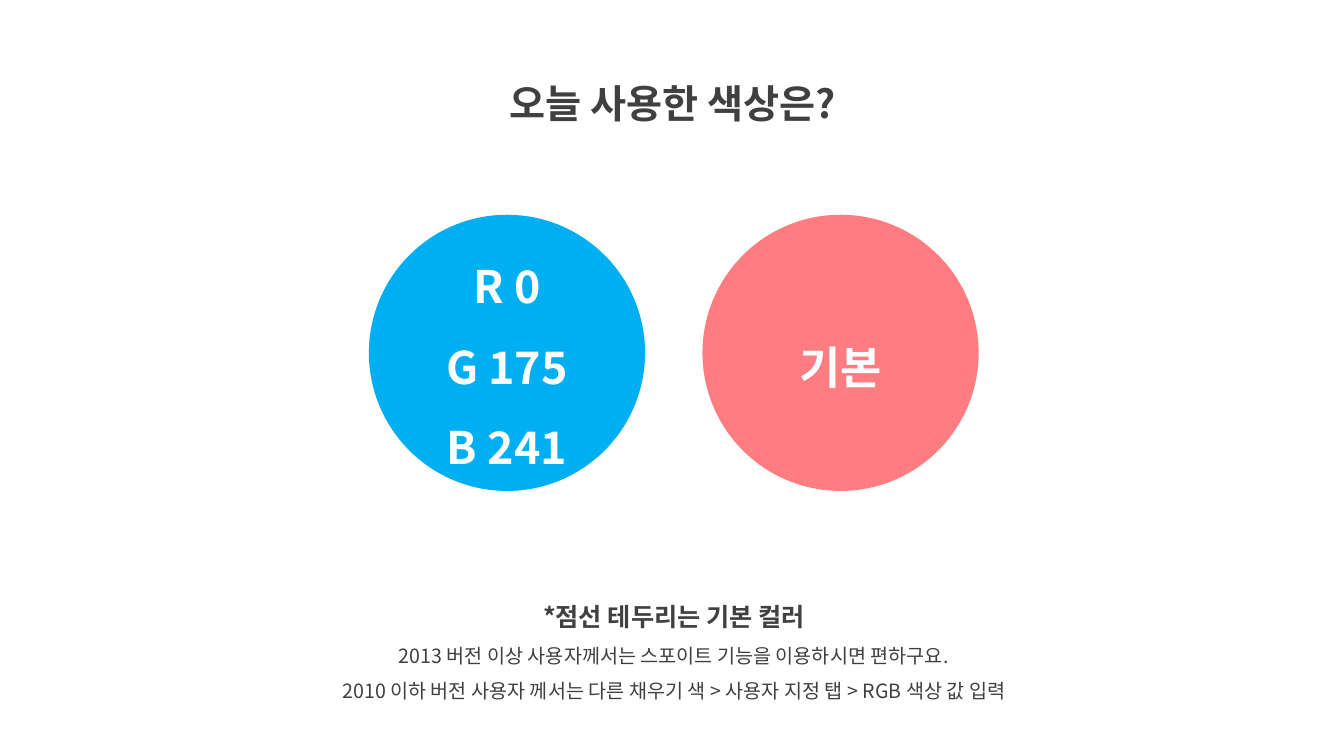
"""Build the slide that shows the two colours used today."""
from lxml import etree
from pptx import Presentation
from pptx.dml.color import RGBColor
from pptx.enum.shapes import MSO_SHAPE
from pptx.enum.text import MSO_ANCHOR, MSO_AUTO_SIZE, PP_ALIGN
from pptx.oxml.ns import qn
from pptx.util import Pt

FONT = "Noto Sans CJK KR"
DARK = RGBColor(0x40, 0x40, 0x40)
WHITE = RGBColor(0xFF, 0xFF, 0xFF)
BLUE = RGBColor(0x00, 0xAF, 0xF1)
CORAL = RGBColor(0xFF, 0x7C, 0x80)

CIRCLE_LEFT, CIRCLE_TOP = 263.5, 153.4
CIRCLE_SIZE, CIRCLE_STEP = 197.3, 238.3


def write_lines(tf, lines, color):
    """Fill a text frame with centred (text, size, bold) lines."""
    tf.word_wrap = True
    for i, (text, size, bold) in enumerate(lines):
        p = tf.add_paragraph() if i else tf.paragraphs[0]
        p.text = text
        p.alignment = PP_ALIGN.CENTER
        p.line_spacing = 1.5
        p.font.size = Pt(size)
        p.font.bold = bold
        p.font.color.rgb = color
        p.font.name = FONT
        ea = etree.SubElement(p._p.pPr.find(qn("a:defRPr")), qn("a:ea"))
        ea.set("typeface", FONT)


def add_text(s, left, top, width, height, lines):
    """Add a dark text box that grows with its lines."""
    tf = s.shapes.add_textbox(Pt(left), Pt(top), Pt(width), Pt(height)).text_frame
    write_lines(tf, lines, DARK)
    tf.auto_size = MSO_AUTO_SIZE.SHAPE_TO_FIT_TEXT


def add_circle(s, index, color, labels):
    """Add a colour circle at its place in the row."""
    sp = s.shapes.add_shape(
        MSO_SHAPE.OVAL, Pt(CIRCLE_LEFT + index * CIRCLE_STEP), Pt(CIRCLE_TOP),
        Pt(CIRCLE_SIZE), Pt(CIRCLE_SIZE))
    sp.shadow.inherit = False
    sp.fill.solid()
    sp.fill.fore_color.rgb = color
    sp.line.fill.background()
    sp.text_frame.vertical_anchor = MSO_ANCHOR.MIDDLE
    write_lines(sp.text_frame, [(label, 32, True) for label in labels], WHITE)


def main():
    """Build and save the slide."""
    prs = Presentation()
    prs.slide_width, prs.slide_height = Pt(960), Pt(540)
    s = prs.slides.add_slide(prs.slide_layouts[6])

    add_text(s, 313.9, 36, 333.4, 51.8, [("오늘 사용한 색상은?", 28, True)])
    add_text(s, 193.7, 415.4, 575.3, 90.7, [
        ("*점선 테두리는 기본 컬러", 18, True),
        ("2013 버전 이상 사용자께서는 스포이트 기능을 이용하시면 편하구요.", 14, False),
        ("2010 이하 버전 사용자 께서는 다른 채우기 색 > 사용자 지정 탭 > RGB 색상 값 입력",
         14, False),
    ])
    circles = [(BLUE, ["R 0", "G 175", "B 241"]), (CORAL, ["기본"])]
    for i, (color, labels) in enumerate(circles):
        add_circle(s, i, color, labels)

    prs.save("out.pptx")


if __name__ == "__main__":
    main()
